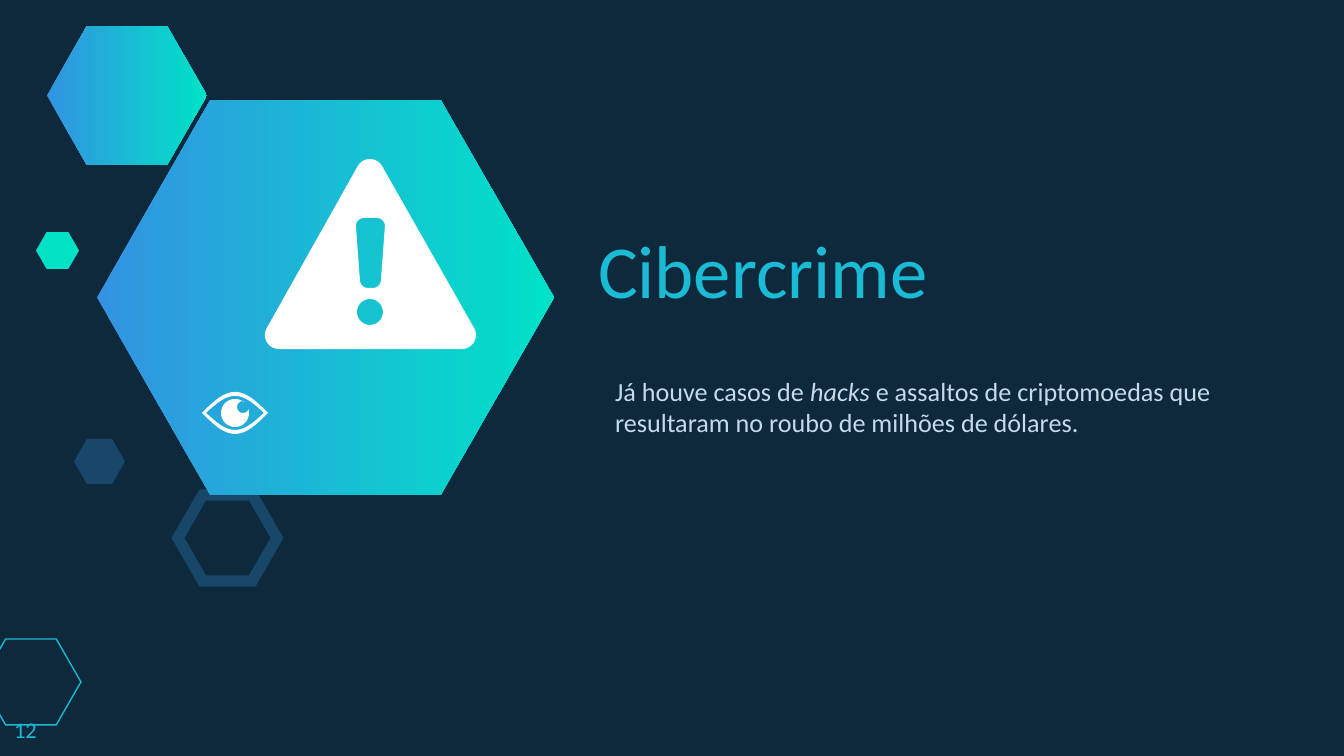
from math import cos, pi, radians, sin

from lxml.etree import SubElement
from pptx import Presentation
from pptx.dml.color import RGBColor
from pptx.enum.shapes import MSO_SHAPE
from pptx.enum.text import MSO_ANCHOR, MSO_AUTO_SIZE, PP_ALIGN
from pptx.oxml.ns import qn
from pptx.util import Pt

PX = 914400 / 134.4
NAVY = RGBColor(0x0E, 0x29, 0x3C)
BLUE = RGBColor(0x33, 0x93, 0xE2)
MINT = RGBColor(0x00, 0xE2, 0xC7)
GREEN = RGBColor(0x00, 0xE1, 0xC6)
CYAN = RGBColor(0x19, 0xBB, 0xD5)
STEEL = RGBColor(0x18, 0x47, 0x69)
PALE = RGBColor(0xC6, 0xDA, 0xEC)
WHITE = RGBColor(0xFF, 0xFF, 0xFF)


def emu(px):
    return round(px * PX)


def arc(cx, cy, radius, start, end, steps=16):
    angles = [radians(start + (end - start) * i / steps) for i in range(steps + 1)]
    return [(cx + radius * cos(a), cy + radius * sin(a)) for a in angles]


def eyelid(cx, cy, half_width, half_height, steps=48):
    angles = [2 * pi * i / steps for i in range(steps)]
    return [(cx + half_width * (1 - 2 * abs(a / pi - 1)), cy + half_height * sin(a))
            for a in angles]


class Deck:
    """Holds the style, the presentation and the current slide."""

    font = "Calibri"
    inset = 13

    def __init__(self, width, height):
        self.prs = Presentation()
        self.prs.slide_width, self.prs.slide_height = emu(width), emu(height)
        self.s = self.prs.slides.add_slide(self.prs.slide_layouts[5])
        self.s.background.fill.solid()
        self.s.background.fill.fore_color.rgb = NAVY

    def hexagon(self, x, y, w, h, fill=None, gradient=None, line=None, width=0.75):
        sp = self.s.shapes.add_shape(MSO_SHAPE.HEXAGON, *map(emu, (x, y, w, h)))
        sp.adjustments[0] = 0.287
        sp.shadow.inherit = False
        if gradient:
            sp.fill.gradient()
            sp.fill.gradient_angle = 0
            for stop, color in zip(sp.fill.gradient_stops, gradient):
                stop.color.rgb = color
        elif fill:
            sp.fill.solid()
            sp.fill.fore_color.rgb = fill
        else:
            sp.fill.background()
        if line:
            sp.line.color.rgb = line
            sp.line.width = Pt(width)
            SubElement(sp.element.spPr.find(qn("a:ln")), qn("a:miter"), lim="800000")
        else:
            sp.line.fill.background()

    def icon(self, *contours):
        builder = self.s.shapes.build_freeform(*map(emu, contours[0][0]))
        for contour in contours:
            points = [(emu(x), emu(y)) for x, y in contour]
            builder.move_to(*points[0])
            builder.add_line_segments(points[1:], close=True)
        sp = builder.convert_to_shape()
        sp.shadow.inherit = False
        sp.fill.solid()
        sp.fill.fore_color.rgb = WHITE
        sp.line.fill.background()

    def set_text(self, sp, box, runs, size, color, before=0):
        sp.left, sp.top, sp.width, sp.height = map(emu, box)
        tf = sp.text_frame
        tf.word_wrap = True
        tf.auto_size = MSO_AUTO_SIZE.NONE
        tf.vertical_anchor = MSO_ANCHOR.TOP
        tf.margin_left = tf.margin_right = emu(self.inset)
        tf.margin_top = tf.margin_bottom = emu(self.inset)
        p = tf.paragraphs[0]
        p.alignment = PP_ALIGN.LEFT
        p.space_before = Pt(before)
        p.font.name, p.font.size, p.font.color.rgb = self.font, Pt(size), color
        for text, italic in runs:
            r = p.add_run()
            r.text = text
            if italic:
                r.font.italic = True

    def title(self, box, text):
        self.set_text(self.s.shapes.title, box, [(text, False)], 40, CYAN)

    def text(self, box, runs, size, color, before=0):
        sp = self.s.shapes.add_textbox(*map(emu, box))
        self.set_text(sp, box, runs, size, color, before)


def main():
    deck = Deck(1344, 756)
    deck.hexagon(47, 26, 160, 139, gradient=(BLUE, MINT))
    deck.hexagon(-19, 639, 100, 86, line=CYAN)
    deck.hexagon(74, 439, 51, 45, fill=STEEL)
    deck.hexagon(178, 495, 99, 86, line=STEEL, width=6)
    deck.hexagon(36, 232, 43, 37, fill=GREEN)
    deck.hexagon(97, 100, 457, 395, gradient=(BLUE, MINT))

    triangle = (arc(370, 173, 14, 210, 330) + arc(462, 335, 14, -30, 90)
                + arc(279, 335, 14, 90, 210))
    bar = (arc(364, 226, 8, 180, 270) + arc(377, 226, 8, 270, 360)
           + arc(373, 280, 8, 0, 90) + arc(368, 280, 8, 90, 180))
    dot = arc(370, 312, 13, 0, 360, 32)
    deck.icon(triangle, bar[::-1], dot[::-1])

    deck.icon(eyelid(235, 413, 33, 21), eyelid(235, 413, 29, 17)[::-1])
    deck.icon(arc(235, 413, 14, -11, 309, 40) + arc(243, 407, 6, 270, 20))

    deck.title((585, 211, 734, 171), "Cibercrime")
    deck.text((1, 703, 81, 52), [("12", False)], 12, CYAN)
    deck.text((602, 362, 637, 116), [
        ("Já houve casos de ", False),
        ("hacks ", True),
        ("e assaltos de criptomoedas que resultaram no roubo de milhões de dólares.", False),
    ], 14, PALE, before=6)
    deck.prs.save("out.pptx")


if __name__ == "__main__":
    main()
